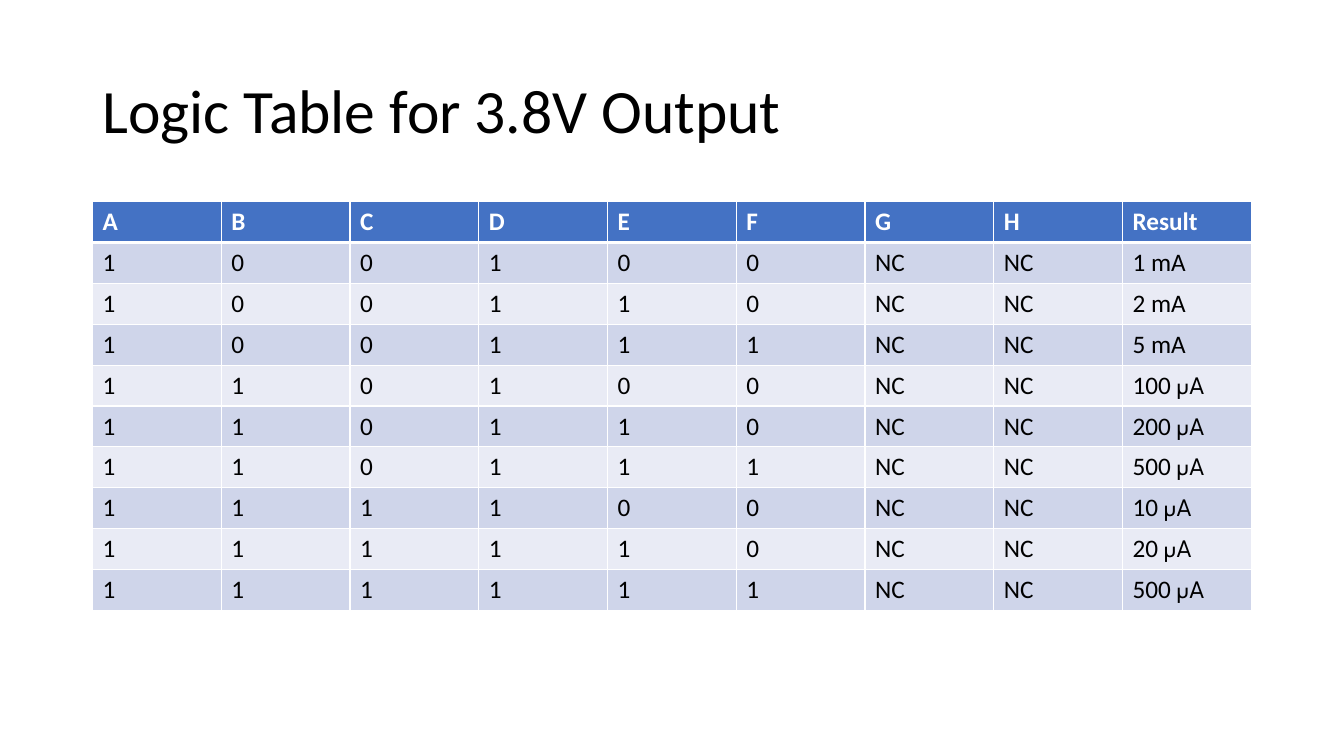
from dataclasses import dataclass

from lxml import etree
from pptx import Presentation
from pptx.dml.color import RGBColor
from pptx.enum.text import MSO_ANCHOR, PP_ALIGN
from pptx.oxml.ns import qn
from pptx.util import Cm, Pt

LEFT, MIDDLE = PP_ALIGN.LEFT, MSO_ANCHOR.MIDDLE
TITLE_ONLY = 5

# Content
TITLE = "Logic Table for 3.8V Output"
HEADER = ["A", "B", "C", "D", "E", "F", "G", "H", "Result"]
NOT_CONNECTED = ["NC", "NC"]  # inputs G and H
STATES = [  # inputs A to F, value, unit
    ("100100", "1", "mA"),
    ("100110", "2", "mA"),
    ("100111", "5", "mA"),
    ("110100", "100", "µA"),
    ("110110", "200", "µA"),
    ("110111", "500", "µA"),
    ("111100", "10", "µA"),
    ("111110", "20", "µA"),
    ("111111", "500", "µA"),
]


@dataclass(frozen=True)
class Theme:
    font: str = "Calibri"
    micro_font: str = "League Spartan"
    title_size: int = 44
    cell_size: int = 18
    text: str = "000000"
    header_text: str = "FFFFFF"
    header_fill: str = "4472C4"
    bands: tuple = ("CFD5EA", "E9EBF5")
    border: str = "FFFFFF"
    thin: int = 1
    thick: int = 3


theme = Theme()

# Layout
SLIDE_W, SLIDE_H = Cm(33.87), Cm(19.05)
MARGIN, CONTENT_W = Cm(2.33), Cm(29.21)
TITLE_TOP, TITLE_H = Cm(1.01), Cm(3.68)
TABLE_TOP, ROW_H = Cm(5.08), Cm(1.03)


def format_run(r, size, color, bold=False, font=theme.font):
    r.font.name, r.font.size, r.font.bold = font, Pt(size), bold
    r.font.color.rgb = RGBColor.from_string(color)


def set_borders(cell, **widths):
    """Draw the borders l, r, t and b, each with its width in points."""
    tc_pr = cell._tc.get_or_add_tcPr()
    for side, width in widths.items():
        ln = etree.SubElement(tc_pr, qn(f"a:ln{side.upper()}"), w=str(Pt(width)))
        fill = etree.SubElement(ln, qn("a:solidFill"))
        etree.SubElement(fill, qn("a:srgbClr"), val=theme.border)


def add_title(s):
    title = s.shapes.title
    title.left, title.top = MARGIN, TITLE_TOP
    title.width, title.height = CONTENT_W, TITLE_H
    tf = title.text_frame
    tf.text, tf.vertical_anchor = TITLE, MIDDLE
    p = tf.paragraphs[0]
    p.alignment, p.line_spacing = LEFT, 0.9
    format_run(p.runs[0], theme.title_size, theme.text)


def add_logic_table(s):
    rows = [HEADER] + [
        [*bits, *NOT_CONNECTED, f"{value} {unit}"] for bits, value, unit in STATES
    ]
    table = s.shapes.add_table(
        len(rows), len(HEADER), MARGIN, TABLE_TOP, CONTENT_W, ROW_H * len(rows)
    ).table

    for i, row in enumerate(rows):
        table.rows[i].height = ROW_H
        is_header = i == 0
        fill = theme.header_fill if is_header else theme.bands[(i - 1) % 2]
        color = theme.header_text if is_header else theme.text
        top = theme.thick if i == 1 else theme.thin
        bottom = theme.thick if is_header else theme.thin

        for j, text in enumerate(row):
            cell = table.cell(i, j)
            set_borders(cell, l=theme.thin, r=theme.thin, t=top, b=bottom)
            cell.fill.solid()
            cell.fill.fore_color.rgb = RGBColor.from_string(fill)

            # The micro unit is a run of its own, in a second font
            number, micro, rest = text.partition("µ")
            cell.text = number
            p = cell.text_frame.paragraphs[0]
            format_run(p.runs[0], theme.cell_size, color, is_header)
            if micro:
                r = p.add_run()
                r.text = micro + rest
                format_run(r, theme.cell_size, color, font=theme.micro_font)


def main():
    prs = Presentation()
    prs.slide_width, prs.slide_height = SLIDE_W, SLIDE_H
    s = prs.slides.add_slide(prs.slide_layouts[TITLE_ONLY])
    add_title(s)
    add_logic_table(s)
    prs.save("out.pptx")


if __name__ == "__main__":
    main()
